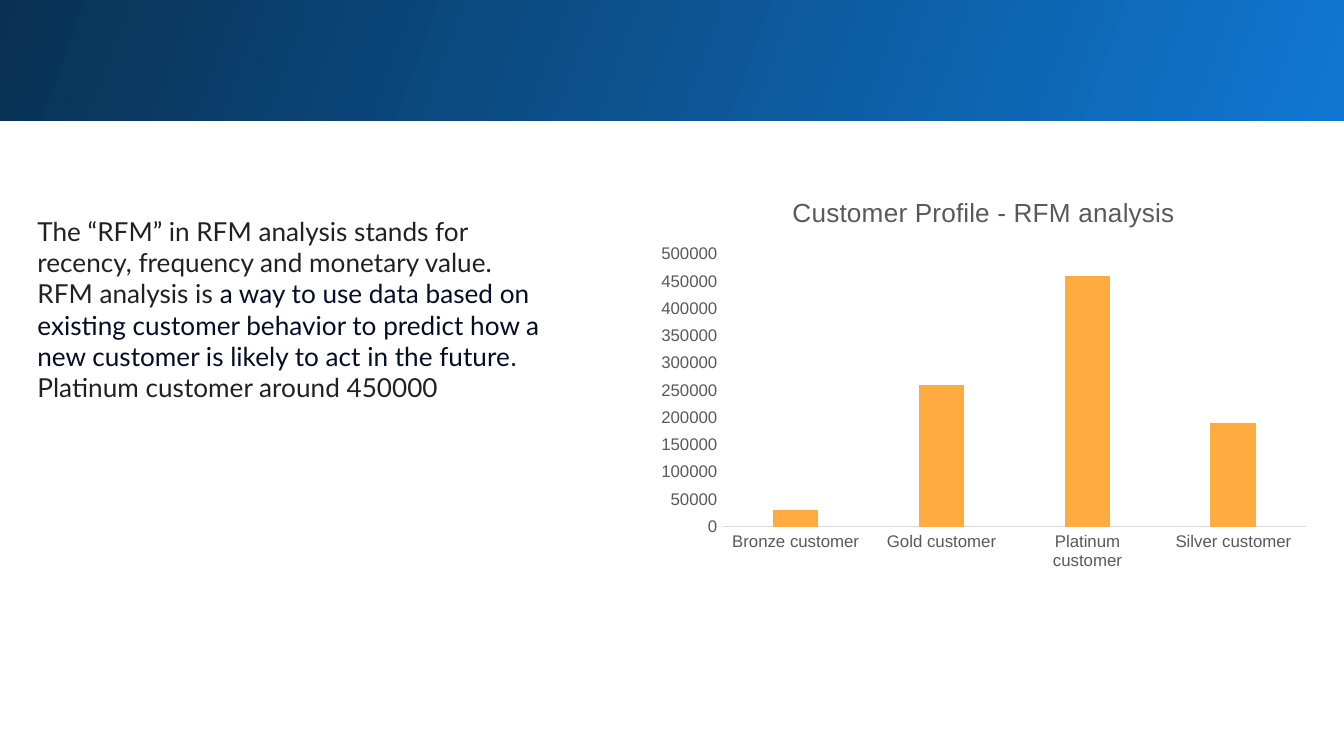
from dataclasses import dataclass

from pptx import Presentation
from pptx.chart.data import CategoryChartData
from pptx.dml.color import RGBColor
from pptx.enum.chart import XL_CHART_TYPE, XL_TICK_MARK
from pptx.enum.shapes import MSO_SHAPE
from pptx.enum.text import MSO_AUTO_SIZE
from pptx.util import Inches, Pt


@dataclass(frozen=True)
class Theme:
    body_font: str = "Lato"
    chart_font: str = "Arial"
    body_size: float = 14
    title_size: float = 14
    chart_size: float = 10
    axis_size: float = 9
    text: str = "202124"
    emphasis: str = "040C28"
    chart_text: str = "595959"
    axis_line: str = "D9D9D9"
    bar: str = "FFAB40"
    banner_start: str = "1077D2"
    banner_end: str = "093153"


def rgb(value):
    return RGBColor.from_string(value)


def format_font(font, *, name, size, color):
    font.name = name
    font.size = Pt(size)
    font.bold = False
    font.color.rgb = rgb(color)


def add_run(p, text, **style):
    r = p.add_run()
    r.text = text
    format_font(r.font, **style)
    return r


class SlideBuilder:
    def __init__(self, slide, theme):
        self.slide = slide
        self.theme = theme

    def banner(self, left, top, width, height):
        sp = self.slide.shapes.add_shape(
            MSO_SHAPE.RECTANGLE, Inches(left), Inches(top), Inches(width), Inches(height)
        )
        sp.shadow.inherit = False
        sp.line.fill.background()
        sp.fill.gradient()
        sp.fill.gradient_angle = 160
        colors = (self.theme.banner_start, self.theme.banner_end)
        for stop, color in zip(sp.fill.gradient_stops, colors):
            stop.color.rgb = rgb(color)

    def text(self, left, top, width, height, paragraphs):
        sp = self.slide.shapes.add_textbox(
            Inches(left), Inches(top), Inches(width), Inches(height)
        )
        tf = sp.text_frame
        tf.word_wrap = True
        tf.auto_size = MSO_AUTO_SIZE.SHAPE_TO_FIT_TEXT
        for i, runs in enumerate(paragraphs):
            p = tf.add_paragraph() if i else tf.paragraphs[0]
            for text, color in runs:
                add_run(p, text, name=self.theme.body_font,
                        size=self.theme.body_size, color=color)

    def column_chart(self, left, top, width, height, title, values):
        t = self.theme
        data = CategoryChartData()
        data.categories = list(values)
        data.add_series("Series 1", list(values.values()))
        chart = self.slide.shapes.add_chart(
            XL_CHART_TYPE.COLUMN_CLUSTERED,
            Inches(left), Inches(top), Inches(width), Inches(height), data,
        ).chart
        chart.has_legend = False
        format_font(chart.font, name=t.chart_font, size=t.chart_size, color="000000")

        chart.has_title = True
        chart.chart_title.include_in_layout = False
        add_run(chart.chart_title.text_frame.paragraphs[0], title,
                name=t.chart_font, size=t.title_size, color=t.chart_text)

        for axis in (chart.category_axis, chart.value_axis):
            axis.has_major_gridlines = False
            axis.major_tick_mark = XL_TICK_MARK.NONE
            axis.minor_tick_mark = XL_TICK_MARK.NONE
            format_font(axis.tick_labels.font, name=t.chart_font,
                        size=t.axis_size, color=t.chart_text)
        chart.category_axis.format.line.color.rgb = rgb(t.axis_line)
        chart.category_axis.format.line.width = Pt(0.75)
        chart.value_axis.format.line.fill.background()
        chart.value_axis.minimum_scale = 0
        chart.value_axis.maximum_scale = 500000
        chart.value_axis.major_unit = 50000

        plot = chart.plots[0]
        plot.vary_by_categories = False
        plot.gap_width = 219
        plot.overlap = -27
        fill = plot.series[0].format.fill
        fill.solid()
        fill.fore_color.rgb = rgb(t.bar)


def main():
    prs = Presentation()
    prs.slide_width = Inches(10)
    prs.slide_height = Inches(10) * 9 // 16
    theme = Theme()
    s = SlideBuilder(prs.slides.add_slide(prs.slide_layouts[6]), theme)

    s.column_chart(4.82, 1.31, 5, 3, "Customer Profile - RFM analysis", {
        "Bronze customer": 30000,
        "Gold customer": 260000,
        "Platinum customer": 460000,
        "Silver customer": 190000,
    })
    s.banner(-0.02, -0.02, 10.05, 0.92)
    s.text(0.18, 1.55, 4.01, 1.51, [
        [
            ("The “RFM” in RFM analysis stands for recency, frequency and "
             "monetary value. RFM analysis is ", theme.text),
            ("a way to use data based on existing customer behavior to predict "
             "how a new customer is likely to act in the future", theme.emphasis),
            (".", theme.text),
        ],
        [("Platinum customer around 450000", theme.text)],
    ])
    prs.save("out.pptx")


if __name__ == "__main__":
    main()
